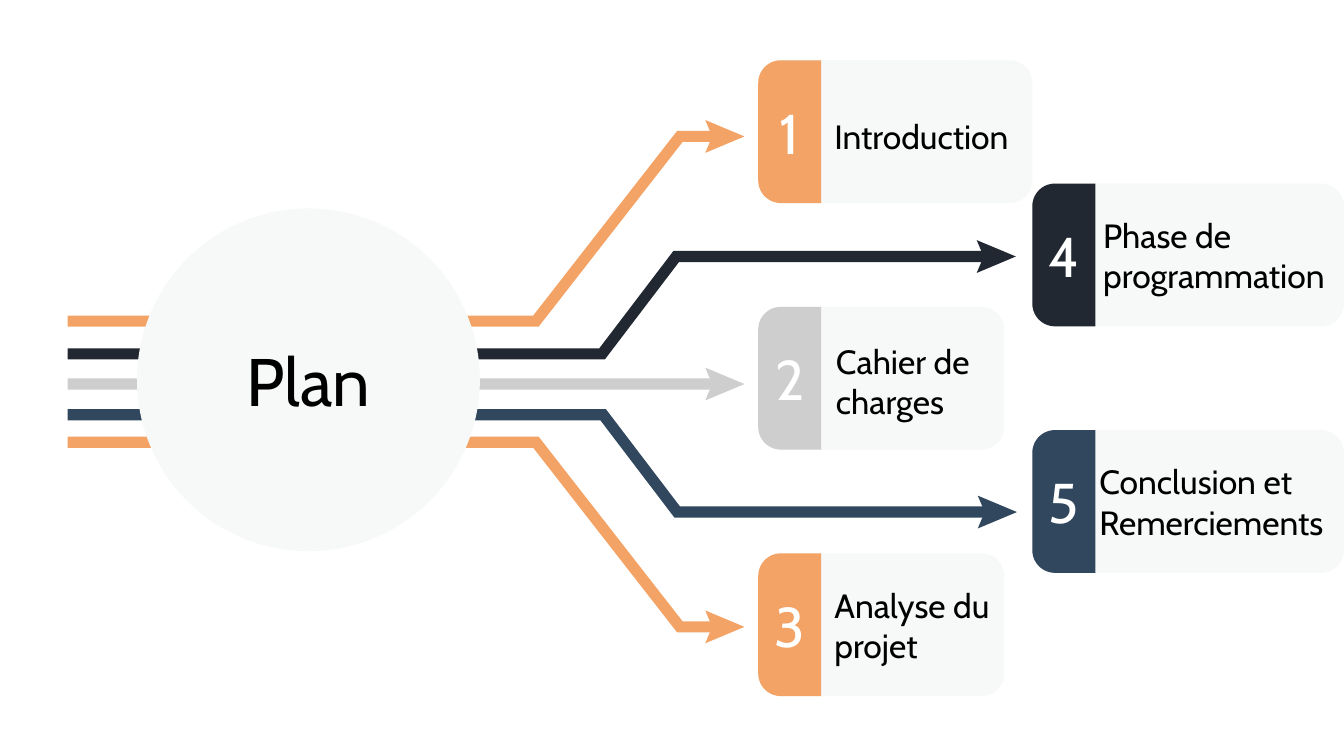
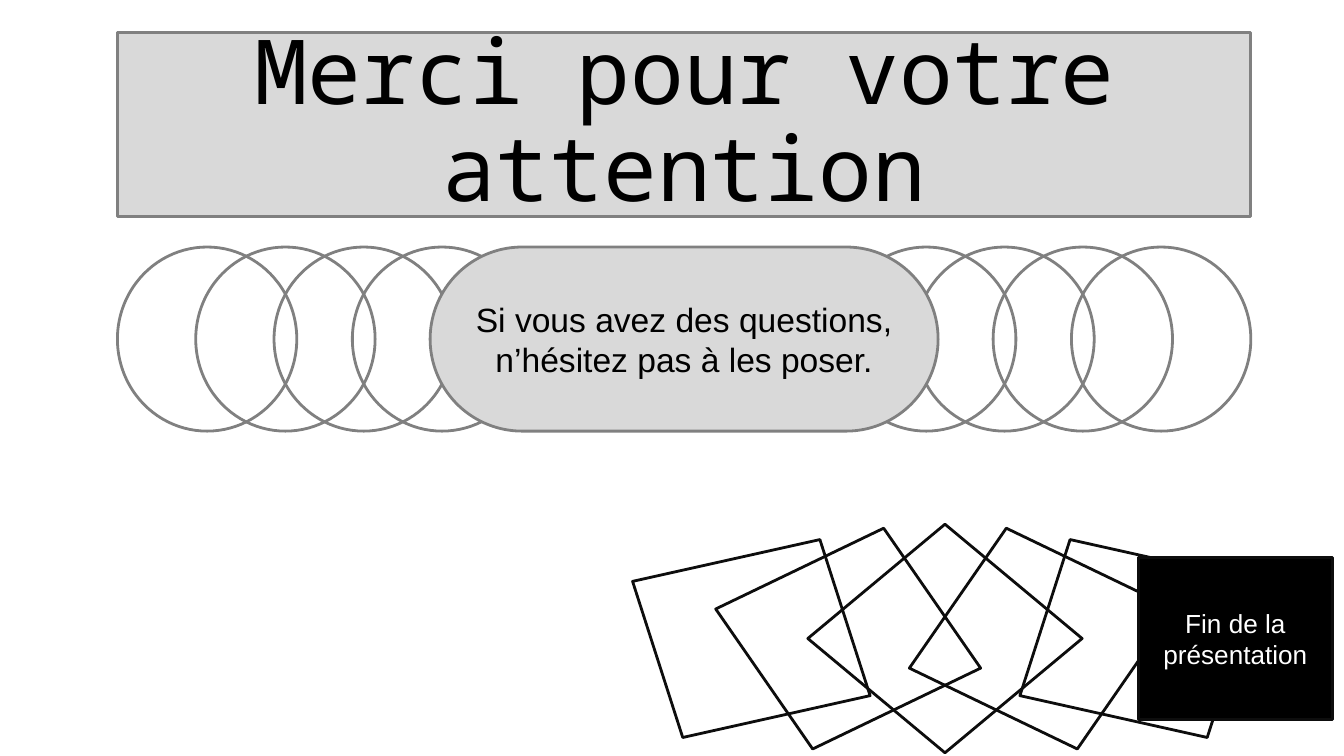
from dataclasses import dataclass
from math import atan2, cos, pi, radians, sin, tan

from pptx import Presentation
from pptx.dml.color import RGBColor
from pptx.enum.shapes import MSO_SHAPE
from pptx.enum.text import MSO_ANCHOR, PP_ALIGN
from pptx.util import Cm, Pt

RECTANGLE, ELLIPSE, ROUNDED = MSO_SHAPE.RECTANGLE, MSO_SHAPE.OVAL, MSO_SHAPE.ROUNDED_RECTANGLE
LEFT, CENTER, MIDDLE = PP_ALIGN.LEFT, PP_ALIGN.CENTER, MSO_ANCHOR.MIDDLE


@dataclass(frozen=True)
class Theme:
    orange: str = "F2A365"
    night: str = "222831"
    silver: str = "CECECE"
    blue: str = "30475E"
    mist: str = "F7F9F9"
    panel: str = "D9D9D9"
    outline: str = "808080"
    ink: str = "0D0D0D"
    black: str = "000000"
    white: str = "FFFFFF"
    plan_font: str = "Cabin"
    banner_font: str = "Noto Sans Mono"
    closing_font: str = "Arial"
    banner_size: float = 48
    hub_size: float = 36
    number_size: float = 30
    label_size: float = 18
    end_size: float = 14
    line_width: float = 1.5
    inset: float = 0.25


THEME = Theme()


# ---------- shared drawing ----------

def paint(shape, fill=None, line=None):
    shape.shadow.inherit = False
    if fill:
        shape.fill.solid()
        shape.fill.fore_color.rgb = RGBColor.from_string(fill)
    else:
        shape.fill.background()
    if line:
        shape.line.color.rgb = RGBColor.from_string(line)
        shape.line.width = Pt(THEME.line_width)
    else:
        shape.line.fill.background()
    return shape


def add_preset(shapes, kind, box, fill=None, line=None):
    return paint(shapes.add_shape(kind, *map(Cm, box)), fill, line)


def add_polygon(shapes, points, fill=None, line=None):
    corners = [(Cm(x), Cm(y)) for x, y in points]
    builder = shapes.build_freeform(*corners[0], scale=1.0)
    builder.add_line_segments(corners[1:], close=True)
    return paint(builder.convert_to_shape(), fill, line)


def write(shape, lines, font, size, color, align=CENTER, spacing=None, wrap=True):
    frame = shape.text_frame
    frame.word_wrap = wrap
    frame.vertical_anchor = MIDDLE
    frame.margin_left = frame.margin_right = Cm(THEME.inset)
    frame.margin_top = frame.margin_bottom = Cm(THEME.inset)
    for index, line in enumerate(lines):
        para = frame.add_paragraph() if index else frame.paragraphs[0]
        para.alignment = align
        if spacing:
            para.line_spacing = spacing
        span = para.add_run()
        span.text = line
        span.font.name = font
        span.font.size = Pt(size)
        span.font.color.rgb = RGBColor.from_string(color)


def add_page(deck):
    page = deck.slides.add_slide(deck.slide_layouts[6])
    page.background.fill.solid()
    page.background.fill.fore_color.rgb = RGBColor.from_string(THEME.white)
    return page


# ---------- plan ----------

BAND = 0.21
BAND_START = 1.28
# colour, start height, first bend, second bend, end height, arrow tip
ROUTES = [
    (THEME.silver, 7.26, 10.13, 12.85, 7.26, 14.07),
    (THEME.orange, 6.07, 10.13, 12.85, 2.58, 14.07),
    (THEME.night, 6.69, 11.38, 12.78, 4.85, 19.2),
    (THEME.blue, 7.84, 11.4, 12.8, 9.68, 19.22),
    (THEME.orange, 8.36, 10.13, 12.85, 11.85, 14.07),
]

CARD_TOP, CARD_STEP, CARD_HEIGHT = 1.14, 2.33, 2.7
TAB_WIDTH, CORNER = 1.19, 0.43
INNER, OUTER = 14.33, 19.51
# number, label, colour, left, row, width, label (indent, drop, width)
CARDS = [
    ("3", "Analyse du projet", THEME.orange, INNER, 4, 4.65, (1.19, 0, 3.45)),
    ("1", "Introduction", THEME.orange, INNER, 0, 5.18, (1.19, 0.09, 4.45)),
    ("2", "Cahier de charges", THEME.silver, INNER, 2, 4.65, (1.22, 0.06, 3.45)),
    ("4", "Phase de programmation", THEME.night, OUTER, 1, 5.89, (1.09, 0, 5.21)),
    ("5", "Conclusion et Remerciements", THEME.blue, OUTER, 3, 5.89, (1.02, 0, 5.05)),
]


def draw_route(page, color, start_y, bend_1, bend_2, end_y, tip):
    """Draw a band of even thickness with mitred bends, then its arrowhead."""
    half = BAND / 2
    miter = half * tan(atan2(end_y - start_y, bend_2 - bend_1) / 2)

    def edge(side):
        shift = -side * miter
        upper, lower = start_y + side * half, end_y + side * half
        return [(BAND_START, upper), (bend_1 + shift, upper),
                (bend_2 + shift, lower), (tip - 0.5, lower)]

    add_polygon(page.shapes, edge(-1) + edge(1)[::-1], color)
    back = tip - 0.74
    add_polygon(page.shapes, [(back, end_y - 0.31), (back + 0.13, end_y),
                              (back, end_y + 0.31), (tip, end_y)], color)


def draw_hub(page, box):
    hub = add_preset(page.shapes, ELLIPSE, box, THEME.mist)
    write(hub, ["Plan"], THEME.plan_font, THEME.hub_size, THEME.black)


def tab_outline(left, top):
    """Return a box outline rounded at its two left corners."""
    bottom, right = top + CARD_HEIGHT, left + TAB_WIDTH
    turns = [pi / 2 * step / 10 for step in range(11)]
    upper = [(left + CORNER * (1 - sin(turn)), top + CORNER * (1 - cos(turn)))
             for turn in turns]
    lower = [(x, top + bottom - y) for x, y in reversed(upper)]
    return [(right, top)] + upper + lower + [(right, bottom)]


def draw_card(page, box, number, label, color, label_place):
    left, top, width, height = box
    body = add_preset(page.shapes, ROUNDED, box, THEME.mist)
    body.adjustments[0] = CORNER / height
    tab = add_polygon(page.shapes, tab_outline(left, top), color)
    write(tab, [number], THEME.plan_font, THEME.number_size, THEME.white)
    indent, drop, label_width = label_place
    caption = page.shapes.add_textbox(Cm(left + indent), Cm(top + drop),
                                      Cm(label_width), Cm(height))
    write(caption, [label], THEME.plan_font, THEME.label_size, THEME.black, LEFT)


def build_plan(deck):
    page = add_page(deck)
    for route in ROUTES:
        draw_route(page, *route)
    draw_hub(page, (2.59, 3.94, 6.48, 6.48))
    for number, label, color, left, row, width, label_place in CARDS:
        box = (left, CARD_TOP + CARD_STEP * row, width, CARD_HEIGHT)
        draw_card(page, box, number, label, color, label_place)


# ---------- closing ----------

def draw_banner(page, box):
    banner = add_preset(page.shapes, RECTANGLE, box, THEME.panel, THEME.outline)
    write(banner, ["Merci pour votre attention"], THEME.banner_font,
          THEME.banner_size, THEME.black, spacing=0.9)


def draw_question_row(page, box):
    """Draw four overlapping rings from each end of the box, and the pill between."""
    left, top, width, height = box
    ring_width, step, pill_width = 3.39, 1.48, 9.6
    far = left + width - ring_width
    for first, move in ((left, step), (far, -step)):
        rings = page.shapes.add_group_shape()
        for index in reversed(range(4)):
            add_preset(rings.shapes, ELLIPSE,
                       (first + move * index, top, ring_width, height), line=THEME.outline)
    pill = add_preset(page.shapes, ROUNDED,
                      (left + (width - pill_width) / 2, top, pill_width, height),
                      THEME.panel, THEME.outline)
    pill.adjustments[0] = 0.5
    write(pill, ["Si vous avez des questions, n’hésitez pas à les poser."],
          THEME.closing_font, THEME.label_size, THEME.black)


def draw_turning_tiles(page, first_x, center_y):
    """Draw six stretched squares, each turned 15 degrees on from its neighbour."""
    radius, stretch, step, count = 2.16, 1.2, 1.83, 6
    centers = [first_x + step * index for index in range(count)]
    tiles = page.shapes.add_group_shape()
    order = list(reversed(range(count - 1))) + [count - 1]
    for index in order:
        turns = [radians(15 * (2 - index) + 90 * corner) for corner in range(4)]
        points = [(centers[index] + stretch * radius * cos(turn),
                   center_y + radius * sin(turn)) for turn in turns]
        fill = THEME.black if index == count - 1 else None
        add_polygon(tiles.shapes, points, fill, THEME.ink)
    width, height = 3.25, 1.45
    ending = page.shapes.add_textbox(Cm(centers[-1] - width / 2), Cm(center_y - height / 2),
                                     Cm(width), Cm(height))
    write(ending, ["Fin de la", "présentation"], THEME.closing_font,
          THEME.end_size, THEME.white, wrap=False)


def build_closing(deck):
    page = add_page(deck)
    draw_banner(page, (2.22, 0.61, 21.42, 3.48))
    draw_question_row(page, (2.22, 4.67, 21.42, 3.48))
    draw_turning_tiles(page, 14.2, 12.07)


def main():
    deck = Presentation()
    deck.slide_width, deck.slide_height = Cm(25.4), Cm(14.29)
    build_plan(deck)
    build_closing(deck)
    deck.save("out.pptx")


if __name__ == "__main__":
    main()
